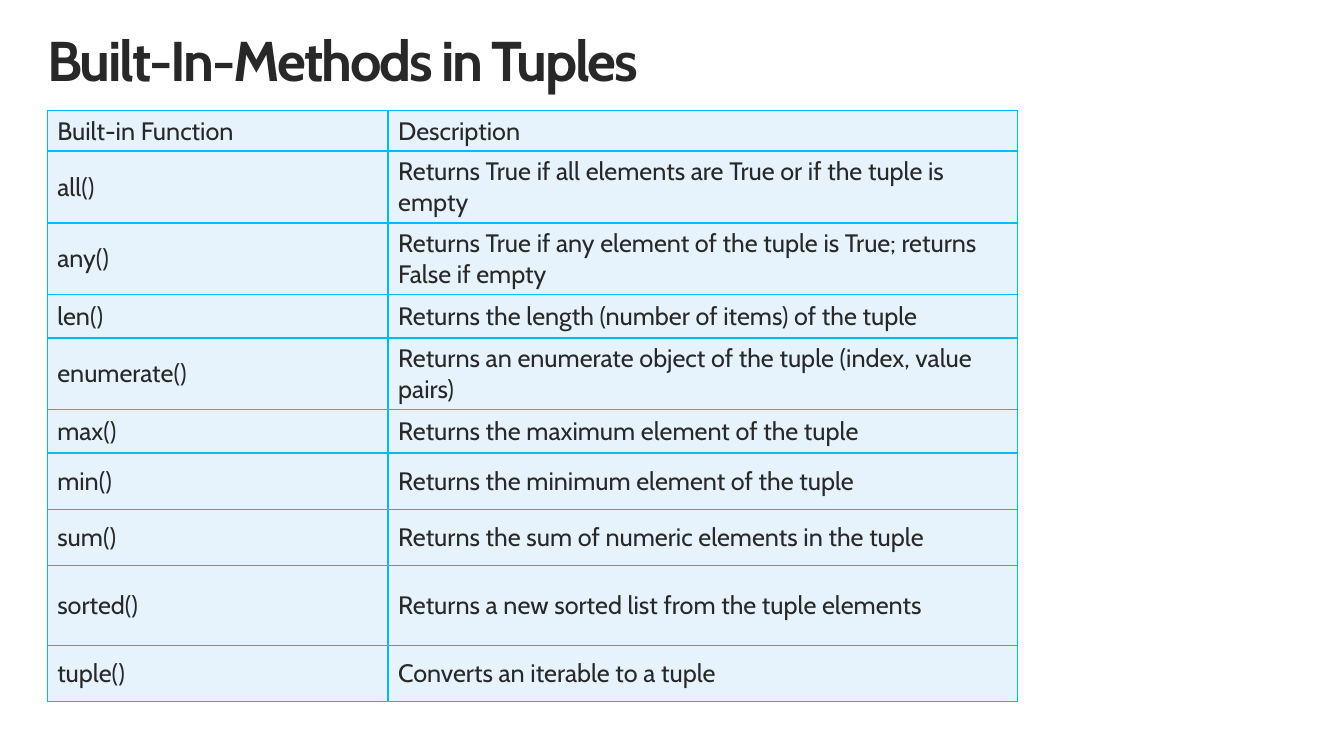
import pptx
import pptx.dml.color
import pptx.enum.text
import pptx.oxml
import pptx.oxml.ns
import pptx.util
from pptx.util import Cm

COLORS = {"text": "282828", "cell": "E7F3FC", "border": "00BCF2"}
FONT = "Cabin"
ROWS = [
    ("Built-in Function", "Description", 1.0),
    ("all()", "Returns True if all elements are True or if the tuple is empty", 1.81),
    ("any()", "Returns True if any element of the tuple is True; returns False if empty", 1.81),
    ("len()", "Returns the length (number of items) of the tuple", 1.09),
    ("enumerate()", "Returns an enumerate object of the tuple (index, value pairs)", 1.81),
    ("max()", "Returns the maximum element of the tuple", 1.09),
    ("min()", "Returns the minimum element of the tuple", 1.42),
    ("sum()", "Returns the sum of numeric elements in the tuple", 1.42),
    ("sorted()", "Returns a new sorted list from the tuple elements", 2.01),
    ("tuple()", "Converts an iterable to a tuple", 1.42),
]
COLUMN_WIDTHS = (8.59, 15.87)


def add_run(paragraph, text, size):
    run = paragraph.add_run()
    run.text = text
    run.font.name = FONT
    run.font.size = pptx.util.Pt(size)
    run.font.color.rgb = pptx.dml.color.RGBColor.from_string(COLORS["text"])
    return run


def set_borders(cell):
    """Draw a 1 pt line on all four sides; borders must precede the fill."""
    properties = cell._tc.get_or_add_tcPr()
    for position, side in enumerate(("lnL", "lnR", "lnT", "lnB")):
        line = pptx.oxml.parse_xml(
            f'<a:{side} {pptx.oxml.ns.nsdecls("a")} w="12700"><a:solidFill>'
            f'<a:srgbClr val="{COLORS["border"]}"/></a:solidFill></a:{side}>'
        )
        properties.insert(position, line)


presentation = pptx.Presentation()
presentation.slide_width = Cm(33.87)
presentation.slide_height = Cm(19.05)
slide = presentation.slides.add_slide(presentation.slide_layouts[6])

# Title
title = slide.shapes.add_textbox(Cm(1.19), Cm(0.38), Cm(31.47), Cm(2.06))
frame = title.text_frame
frame.word_wrap = True
frame.margin_left = frame.margin_right = frame.margin_bottom = 0
frame.margin_top = Cm(0.46)
paragraph = frame.paragraphs[0]
paragraph.line_spacing = 0.9
title_run = add_run(paragraph, "Built-In-Methods in Tuples", 40)
title_run.font.bold = True
title_run._r.get_or_add_rPr().set("spc", "-150")

# Table of functions
table_height = sum(height for _, _, height in ROWS)
table = slide.shapes.add_table(
    len(ROWS), len(COLUMN_WIDTHS), Cm(1.19), Cm(2.79), Cm(sum(COLUMN_WIDTHS)), Cm(table_height)
).table
table.first_row = False
table.horz_banding = False
for column, width in zip(table.columns, COLUMN_WIDTHS):
    column.width = Cm(width)
for row, (function, description, height) in zip(table.rows, ROWS):
    row.height = Cm(height)
    for cell, text in zip(row.cells, (function, description)):
        cell.vertical_anchor = pptx.enum.text.MSO_ANCHOR.MIDDLE
        cell.fill.solid()
        cell.fill.fore_color.rgb = pptx.dml.color.RGBColor.from_string(COLORS["cell"])
        set_borders(cell)
        add_run(cell.text_frame.paragraphs[0], text, 18)

presentation.save("out.pptx")
